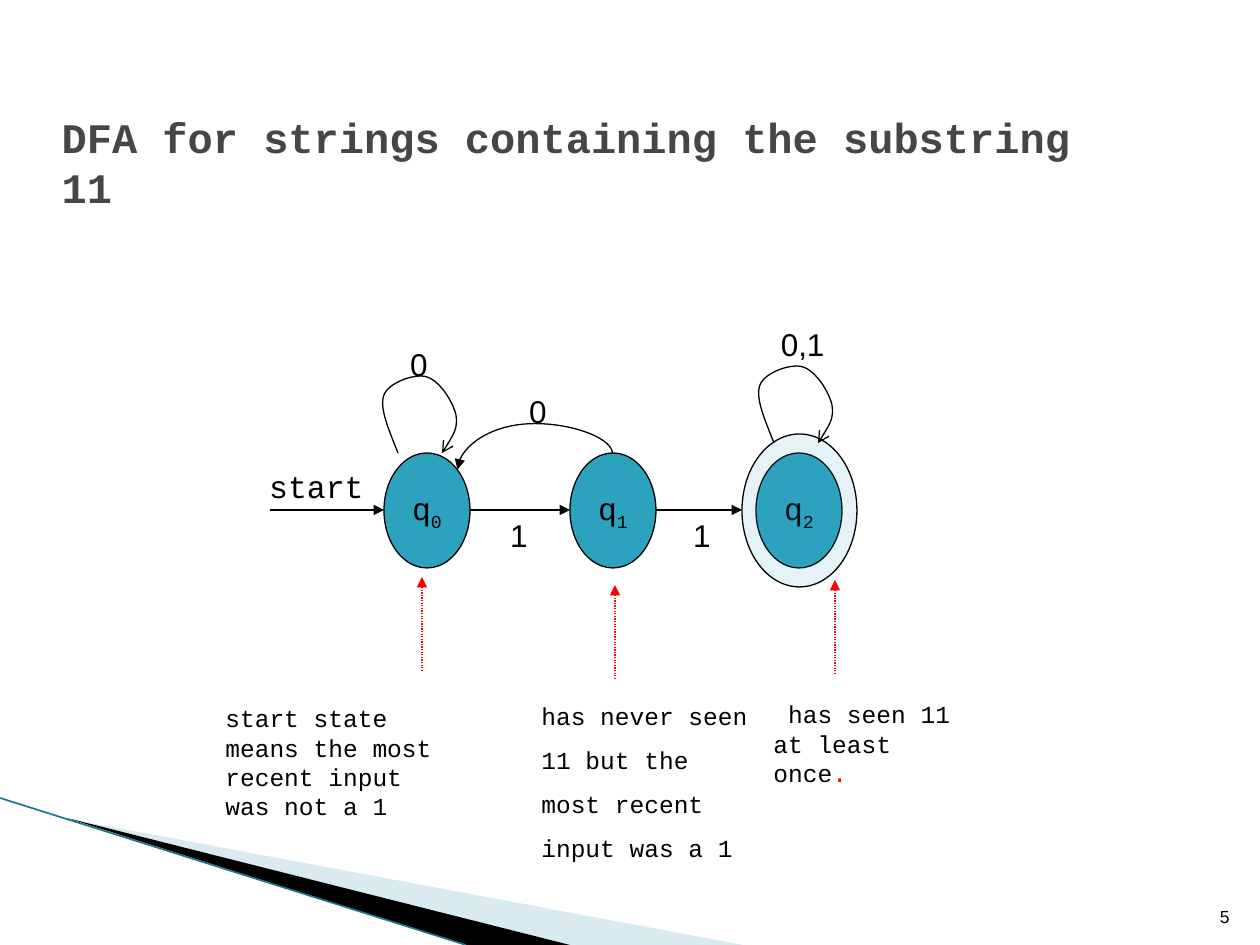
from lxml.etree import SubElement
from pptx import Presentation
from pptx.dml.color import RGBColor
from pptx.enum.dml import MSO_LINE
from pptx.enum.shapes import MSO_CONNECTOR as LINK, MSO_SHAPE
from pptx.enum.text import MSO_ANCHOR as ANCHOR, MSO_AUTO_SIZE as FIT, PP_ALIGN as ALIGN
from pptx.oxml.ns import qn
from pptx.util import Pt

PX = 914400 / 126
FONT, DIGIT_FONT = "Courier New", "Arial"
BLACK, RED, TEAL = "000000", "FF0000", "2DA2BF"

# Content: boxes are left, top, width, height in px
TITLE = "DFA for strings containing the substring 11"
WEDGES = [
    ([(69, 819), (743, 945), (570, 945)], "A0CBDC", 40),
    ([(67, 818), (570, 945), (466, 945)], BLACK, 100),
]
EDGE = (0, 798, 466, 945)
STATES = [(384, "0"), (570, "1"), (756, "2")]
STATE_TOP, STATE_W, STATE_H = 453, 86, 115
ACCEPT_RING = (742, 434, 115, 153)
STEPS = [(270, 384), (470, 570), (656, 742)]
LOOPS = [(378, 373), (754, 363)]
LOOP_POINTS = [
    (20, 80), (11, 57), (1, 35), (6, 22), (11, 9), (38, 0), (49, 4),
    (62, 8), (75, 29), (78, 42), (80, 55), (72, 68), (64, 80),
]
LABELS = [
    ("start", (230, 461, 146, 115)),
    ("0", (378, 339, 62, 93)),
    ("0", (492, 386, 67, 115)),
    ("0,1", (722, 319, 115, 115)),
    ("1", (478, 510, 62, 93)),
    ("1", (656, 510, 67, 115)),
]
NOTES = [
    ((213, 697, 244, 102), [("start state means the most recent input was not a 1", BLACK)], False),
    ((466, 680, 300, 188), [("has never seen 11 but the most recent input was a 1", BLACK)], True),
    ((761, 693, 223, 72), [(" ", RED), ("has seen 11 at least once", BLACK), (".", RED)], False),
]
POINTERS = [(422, 577), (615, 585), (835, 580)]
POINTER_LENGTH = 94
PAGE_NUMBER = ("5", (1192, 883, 50, 50))


def px(*values):
    return [round(value * PX) for value in values]


def color(code):
    return RGBColor.from_string(code)


def add_span(para, text, size, code=BLACK, bold=False):
    span = para.add_run()
    span.text = text
    font = span.font
    font.name, font.size, font.bold = FONT, Pt(size), bold
    font.color.rgb = color(code)
    return span


def set_alpha(shape, percent):
    fill = shape.fill._xPr.find(qn("a:solidFill"))
    SubElement(fill[0], qn("a:alpha")).set("val", str(percent * 1000))


def style_line(shape, code=BLACK, width=0.75, head=None):
    shape.line.color.rgb = color(code)
    shape.line.width = Pt(width)
    if head:
        SubElement(shape.line._get_or_add_ln(), qn("a:tailEnd")).set("type", head)


def add_link(page, ends, code=BLACK, width=0.75, head="triangle", kind=LINK.STRAIGHT, dash=None):
    link = page.shapes.add_connector(kind, *px(*ends))
    style_line(link, code, width)
    if dash:
        link.line.dash_style = dash
    if head:
        SubElement(link.line._get_or_add_ln(), qn("a:tailEnd")).set("type", head)
    SubElement(link._element.spPr, qn("a:effectLst"))
    return link


def add_outline(page, points, closed):
    builder = page.shapes.build_freeform(*points[0], scale=PX)
    builder.add_line_segments(points[1:], close=closed)
    outline = builder.convert_to_shape()
    outline.shadow.inherit = False
    return outline


def add_ellipse(page, box):
    ellipse = page.shapes.add_shape(MSO_SHAPE.OVAL, *px(*box))
    ellipse.shadow.inherit = False
    ellipse.fill.solid()
    ellipse.fill.fore_color.rgb = color(TEAL)
    style_line(ellipse)
    return ellipse


def add_text(page, box, wrap=True, fit=FIT.SHAPE_TO_FIT_TEXT):
    frame = page.shapes.add_textbox(*px(*box)).text_frame
    frame.word_wrap, frame.auto_size = wrap, fit
    return frame


def add_label(frame, text, size):
    """Right-to-left label, whose digits take the complex-script font."""
    para = frame.paragraphs[0]
    para.alignment = ALIGN.RIGHT
    para._p.get_or_add_pPr().set("rtl", "1")
    span = add_span(para, text, size)
    SubElement(span._r.rPr, qn("a:cs")).set("typeface", DIGIT_FONT)


def add_state(page, left, index):
    state = add_ellipse(page, (left, STATE_TOP, STATE_W, STATE_H))
    frame = state.text_frame
    frame.word_wrap, frame.vertical_anchor = False, ANCHOR.MIDDLE
    para = frame.paragraphs[0]
    para.alignment = ALIGN.CENTER
    add_span(para, "q", 18)
    add_span(para, index, 18)._r.rPr.set("baseline", "-25000")


def add_loop(page, left, top):
    loop = add_outline(page, [(left + x, top + y) for x, y in LOOP_POINTS], False)
    loop.fill.background()
    style_line(loop, head="arrow")
    # Every three straight steps become one Bezier segment
    outline = loop._element.find(".//" + qn("a:path"))
    steps = outline.findall(qn("a:lnTo"))
    for start in range(0, len(steps), 3):
        curve = SubElement(outline, qn("a:cubicBezTo"))
        for step in steps[start:start + 3]:
            curve.append(step[0])
            outline.remove(step)


def add_return_arc(page):
    arc = add_link(page, (543, 539, 527, 384), kind=LINK.CURVE)
    props = arc._element.spPr
    props.find(qn("a:xfrm")).set("rot", "16200000")
    shape = props.find(qn("a:prstGeom"))
    values = shape.find(qn("a:avLst"))
    if values is None:
        values = SubElement(shape, qn("a:avLst"))
    guide = SubElement(values, qn("a:gd"))
    guide.set("name", "adj1")
    guide.set("fmla", "val -187200")


def main():
    deck = Presentation()
    deck.slide_width, deck.slide_height = px(1260, 945)
    page = deck.slides.add_slide(deck.slide_layouts[5])

    # Corner decoration
    for points, code, opacity in WEDGES:
        wedge = add_outline(page, points, True)
        wedge.fill.solid()
        wedge.fill.fore_color.rgb = color(code)
        set_alpha(wedge, opacity)
        wedge.line.fill.background()
    add_link(page, EDGE, "1F7589", 0.95, head=None)

    # Title
    title = page.shapes.title
    title.left, title.top, title.width, title.height = px(49, 83, 1074, 158)
    frame = title.text_frame
    frame.auto_size, frame.vertical_anchor = FIT.NONE, ANCHOR.MIDDLE
    frame.paragraphs[0].alignment = ALIGN.LEFT
    add_span(frame.paragraphs[0], TITLE, 24, "464646", True)

    # States and transitions
    for left, index in STATES:
        add_state(page, left, index)
    set_alpha(add_ellipse(page, ACCEPT_RING), 12)
    middle = STATE_TOP + STATE_H // 2
    for start, end in STEPS:
        add_link(page, (start, middle, end, middle))
    for left, top in LOOPS:
        add_loop(page, left, top)
    add_return_arc(page)
    for text, box in LABELS:
        add_label(add_text(page, box, wrap=False), text, 18)

    # Notes with their pointers
    for box, spans, indented in NOTES:
        para = add_text(page, box).paragraphs[0]
        if indented:
            para.level, para.line_spacing = 1, 1.5
            para._p.pPr.set("marL", "457200")
            para._p.pPr.set("indent", "0")
        for text, code in spans:
            add_span(para, text, 14, code)
    for x, tip in POINTERS:
        add_link(page, (x, tip + POINTER_LENGTH, x, tip), RED, dash=MSO_LINE.ROUND_DOT)

    # Page number
    text, box = PAGE_NUMBER
    frame = add_text(page, box, fit=FIT.NONE)
    frame.vertical_anchor = ANCHOR.BOTTOM
    add_label(frame, text, 10)
    deck.save("out.pptx")


if __name__ == "__main__":
    main()
